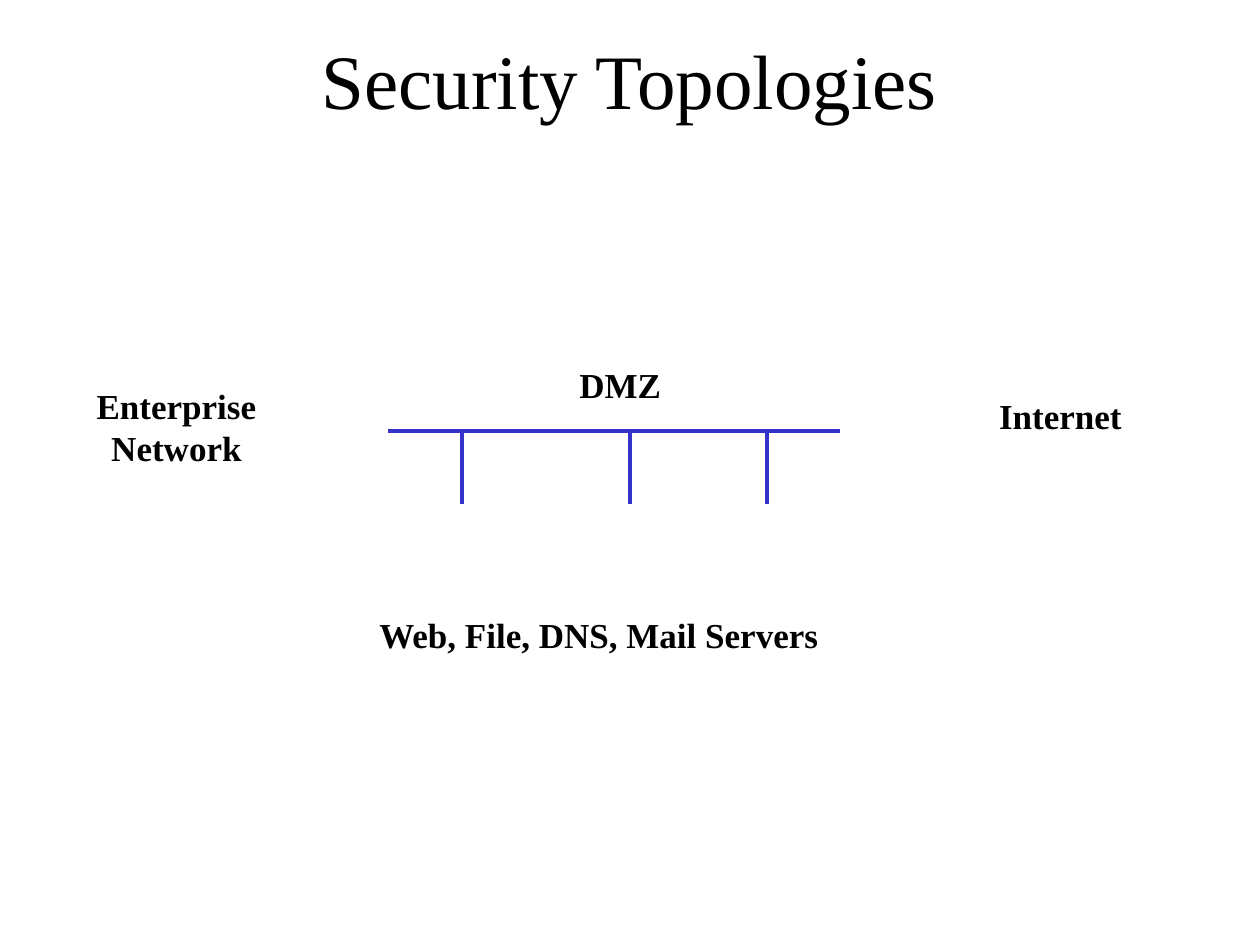
import pptx
import pptx.dml.color
import pptx.enum.shapes
import pptx.enum.text
import pptx.oxml
import pptx.util

PX = 914400 // 126
FONT = "Times New Roman"
COLORS = {"text": "000000", "line": "3333CC", "background": "FFFFFF"}
ALIGN = pptx.enum.text.PP_ALIGN


def color(name):
    return pptx.dml.color.RGBColor.from_string(COLORS[name])


def style_text(frame, lines, size, bold, align):
    frame.text = "\n".join(lines)
    for paragraph in frame.paragraphs:
        paragraph.alignment = align
        paragraph.font.name = FONT
        paragraph.font.size = pptx.util.Pt(size)
        paragraph.font.bold = bold
        paragraph.font.color.rgb = color("text")


presentation = pptx.Presentation()
presentation.slide_width = 1260 * PX
presentation.slide_height = 945 * PX
slide = presentation.slides.add_slide(presentation.slide_layouts[5])
slide.background.fill.solid()
slide.background.fill.fore_color.rgb = color("background")

# Title
title = slide.shapes.title
title.left, title.top, title.width, title.height = [n * PX for n in (94, 32, 1071, 94)]
title.text_frame.vertical_anchor = pptx.enum.text.MSO_ANCHOR.MIDDLE
style_text(title.text_frame, ["Security Topologies"], 44, False, ALIGN.CENTER)

# DMZ bus, then the drops to its servers
BUS_Y, DROP_END_Y = 431, 504
segments = [(388, BUS_Y, 840, BUS_Y)]
segments += [(x, DROP_END_Y, x, BUS_Y) for x in (462, 630, 767)]
for segment in segments:
    connector = slide.shapes.add_connector(
        pptx.enum.shapes.MSO_CONNECTOR.STRAIGHT, *[n * PX for n in segment])
    connector.line.color.rgb = color("line")
    connector.line.width = pptx.util.Pt(2)
    connector._element.spPr.append(pptx.oxml.parse_xml(
        '<a:effectLst xmlns:a="http://schemas.openxmlformats.org/drawingml/2006/main"/>'))

# Zone labels: lines, left, top, width, height, alignment
labels = [
    (["Enterprise", "Network"], 82, 378, 189, 97, ALIGN.CENTER),
    (["DMZ"], 567, 357, 111, 55, ALIGN.LEFT),
    (["Web, File, DNS, Mail Servers"], 367, 607, 470, 55, ALIGN.LEFT),
    (["Internet"], 984, 388, 153, 55, ALIGN.CENTER),
]
for lines, left, top, width, height, align in labels:
    label = slide.shapes.add_textbox(left * PX, top * PX, width * PX, height * PX)
    label.text_frame.word_wrap = False
    label.text_frame.auto_size = pptx.enum.text.MSO_AUTO_SIZE.SHAPE_TO_FIT_TEXT
    style_text(label.text_frame, lines, 20, True, align)

presentation.save("out.pptx")
